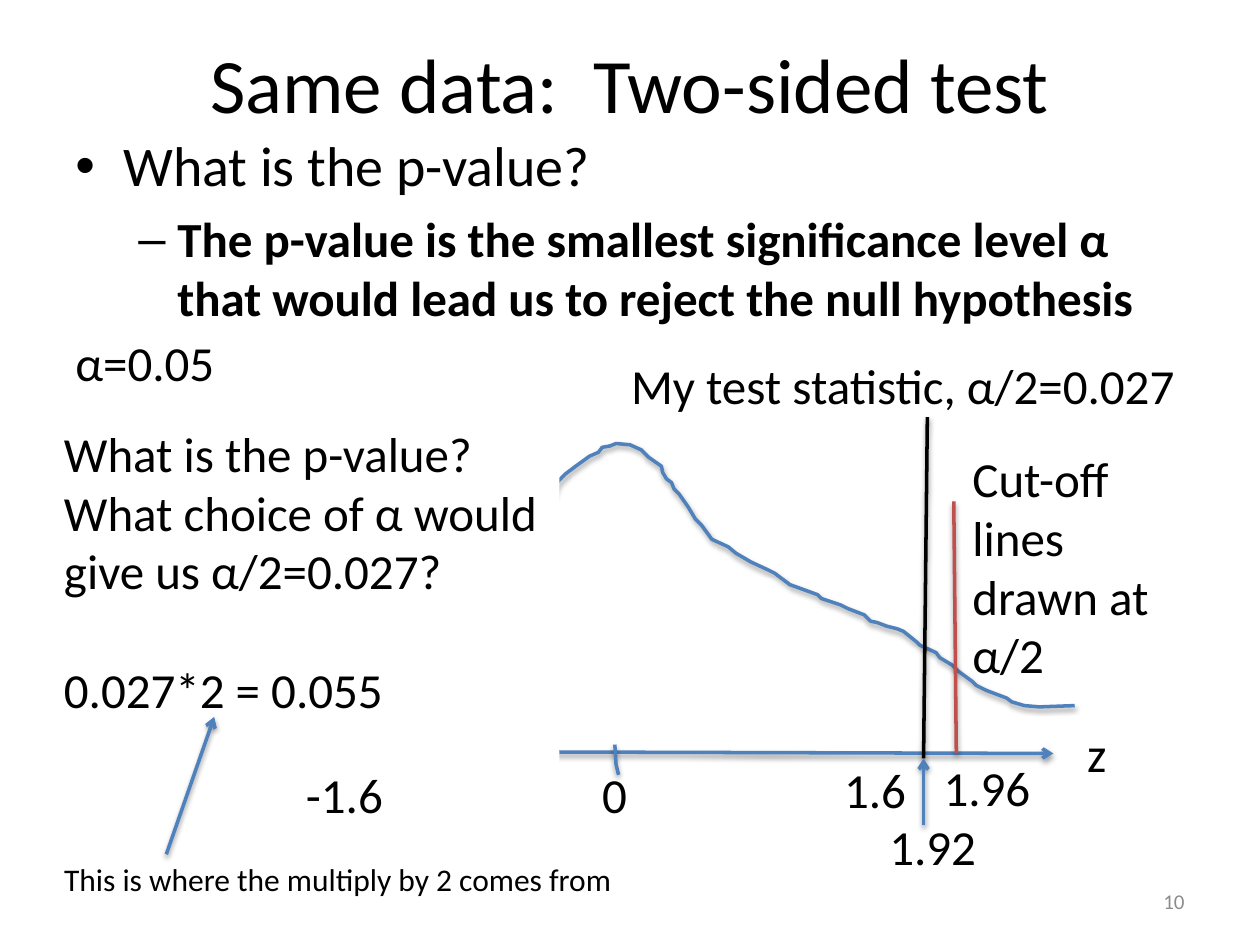
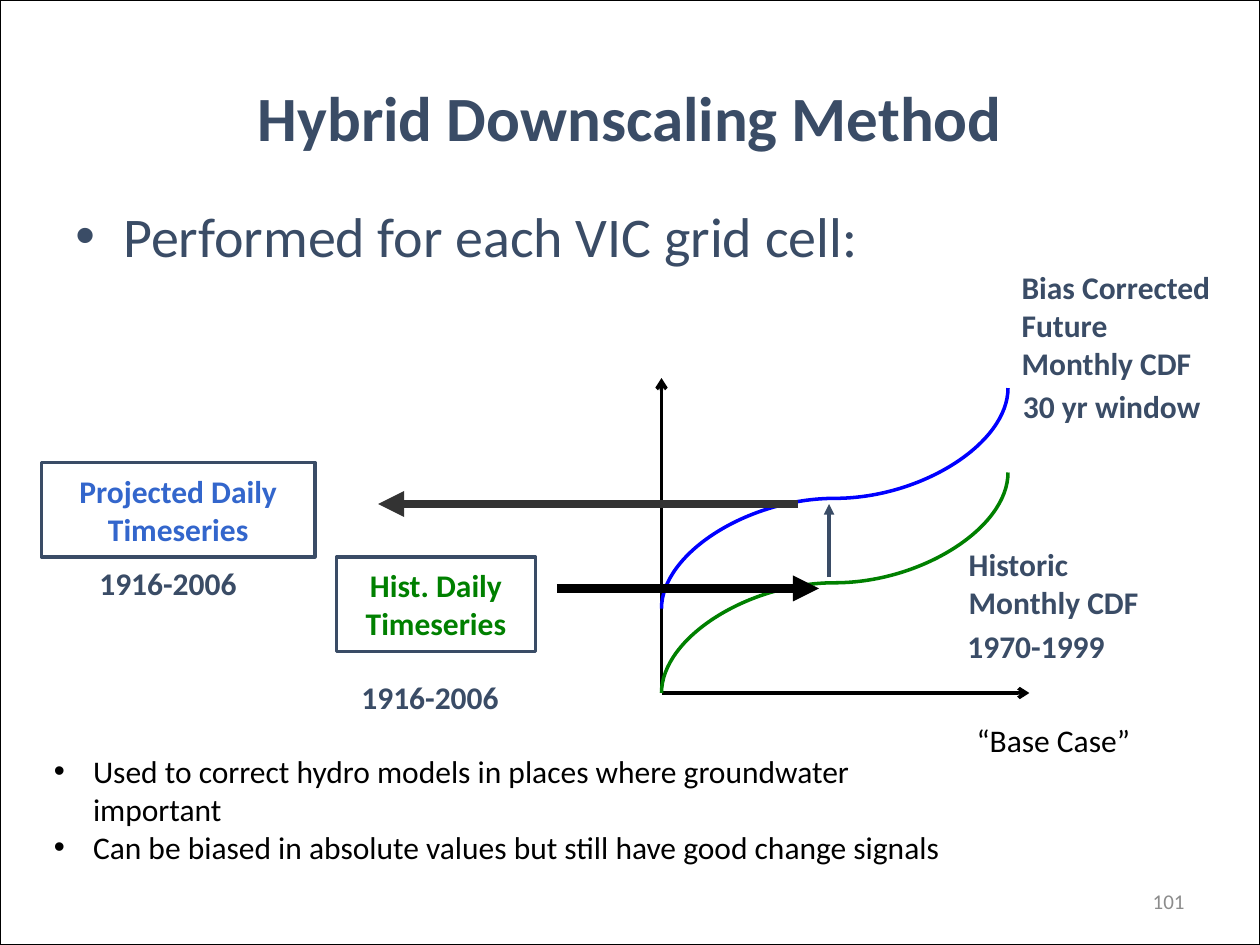
"""Build two statistics slides: a two-sided test and a hybrid downscaling method."""
from dataclasses import dataclass
from typing import Optional, Sequence

from lxml.etree import SubElement
from pptx import Presentation
from pptx.dml.color import RGBColor
from pptx.enum.shapes import MSO_CONNECTOR as Connector, MSO_SHAPE as Preset
from pptx.enum.text import MSO_ANCHOR as Anchor, PP_ALIGN as Align
from pptx.oxml.ns import qn
from pptx.util import Emu, Inches, Pt

BLACK = RGBColor(0x00, 0x00, 0x00)
WHITE = RGBColor(0xFF, 0xFF, 0xFF)
GREY = RGBColor(0x8C, 0x8C, 0x8C)
CHARCOAL = RGBColor(0x33, 0x33, 0x33)
STEEL = RGBColor(0x4F, 0x81, 0xBD)
BRICK = RGBColor(0xC0, 0x50, 0x4D)
SLATE = RGBColor(0x3A, 0x4C, 0x66)
GREEN = RGBColor(0x00, 0x80, 0x00)
BLUE = RGBColor(0x00, 0x00, 0xFF)
ROYAL = RGBColor(0x33, 0x66, 0xCC)

FONT = "Calibri"
SLIDE_WIDTH, SLIDE_HEIGHT = Inches(10), Inches(7.5)
COLUMNS, ROWS = 100, 75

Point = tuple[float, float]
Box = tuple[float, float, float, float]


@dataclass(frozen=True)
class Line:
    """One paragraph, with optional bullet and overrides of its label's format."""
    text: str
    bullet: str = ""
    margin: float = 0
    hang: float = 0
    gap: float = 0
    size: Optional[float] = None
    bold: Optional[bool] = None


@dataclass(frozen=True)
class Label:
    """Text at (left, top, width, height) in grid cells, framed when filled or outlined."""
    box: Box
    lines: Sequence[Line | str]
    size: float = 28
    color: RGBColor = BLACK
    bold: bool = False
    align: Align = Align.LEFT
    anchor: Anchor = Anchor.TOP
    fill: Optional[RGBColor] = None
    outline: Optional[RGBColor] = None
    outline_width: float = 2


@dataclass(frozen=True)
class Stroke:
    """A connector between two grid points."""
    start: Point
    end: Point
    color: RGBColor
    width: float = 2
    head: str = ""
    tail: str = ""
    shadow: bool = False
    kind: Connector = Connector.STRAIGHT
    rotation: int = 0


def column(count: float) -> Emu:
    """Return the width of a number of grid columns."""
    return Emu(round(SLIDE_WIDTH * count / COLUMNS))


def row(count: float) -> Emu:
    """Return the height of a number of grid rows."""
    return Emu(round(SLIDE_HEIGHT * count / ROWS))


def set_effects(shape, shadow: bool) -> None:
    """Replace the theme shadow with a soft drop shadow or with none."""
    effects = SubElement(shape._element.spPr, qn("a:effectLst"))
    if shadow:
        outer = SubElement(effects, qn("a:outerShdw"), blurRad=str(Pt(3.1)),
                           dist=str(Pt(1.6)), dir="5400000", rotWithShape="0")
        tint = SubElement(outer, qn("a:srgbClr"), val=str(BLACK))
        SubElement(tint, qn("a:alpha"), val="38000")


def set_line(shape, color: RGBColor, width: float) -> None:
    """Set a solid line."""
    shape.line.color.rgb = color
    shape.line.width = Pt(width)


def draw_stroke(slide, stroke: Stroke) -> None:
    """Draw a connector with its arrowheads."""
    (left, top), (right, bottom) = stroke.start, stroke.end
    connector = slide.shapes.add_connector(
        stroke.kind, column(left), row(top), column(right), row(bottom))
    set_line(connector, stroke.color, stroke.width)
    line = connector.line._get_or_add_ln()
    for tag, arrow in (("a:headEnd", stroke.head), ("a:tailEnd", stroke.tail)):
        if arrow:
            SubElement(line, qn(tag), type=arrow)
    if stroke.rotation:
        transform = connector._element.spPr.find(qn("a:xfrm"))
        transform.set("rot", str(stroke.rotation * 60000))
    set_effects(connector, stroke.shadow)


def draw_sketch(slide, points: Sequence[Point], color: RGBColor) -> None:
    """Draw an open, shadowed outline through grid points."""
    (left, top), *rest = [(column(x), row(y)) for x, y in points]
    builder = slide.shapes.build_freeform(left, top)
    builder.add_line_segments(rest, close=False)
    sketch = builder.convert_to_shape()
    sketch.fill.background()
    set_line(sketch, color, 2)
    set_effects(sketch, True)


def write_line(paragraph, line: Line, label: Label) -> None:
    """Write one paragraph with its bullet, spacing and font."""
    paragraph.alignment = label.align
    if line.gap:
        paragraph.space_before = Pt(line.gap)
    if line.bullet:
        properties = paragraph._p.get_or_add_pPr()
        properties.set("marL", str(column(line.margin)))
        properties.set("indent", str(-column(line.hang)))
        SubElement(properties, qn("a:buFont"), typeface="Arial")
        SubElement(properties, qn("a:buChar"), char=line.bullet)
    run = paragraph.add_run()
    run.text = line.text
    run.font.color.rgb = label.color
    formats = {"name": FONT, "size": Pt(line.size or label.size),
               "bold": label.bold if line.bold is None else line.bold}
    for name, value in formats.items():
        setattr(run.font, name, value)


def draw_label(slide, label: Label) -> None:
    """Draw a text box, or a rectangle when the label has a fill or an outline."""
    left, top, width, height = label.box
    place = column(left), row(top), column(width), row(height)
    if label.fill is None and label.outline is None:
        shape = slide.shapes.add_textbox(*place)
    else:
        shape = slide.shapes.add_shape(Preset.RECTANGLE, *place)
        if label.fill is None:
            shape.fill.background()
        else:
            shape.fill.solid()
            shape.fill.fore_color.rgb = label.fill
        if label.outline is None:
            shape.line.fill.background()
        else:
            set_line(shape, label.outline, label.outline_width)
        shape.shadow.inherit = False
    frame = shape.text_frame
    for name, value in {"word_wrap": True, "vertical_anchor": label.anchor}.items():
        setattr(frame, name, value)
    for index, entry in enumerate(label.lines):
        paragraph = frame.add_paragraph() if index else frame.paragraphs[0]
        write_line(paragraph, Line(entry) if isinstance(entry, str) else entry, label)


def draw_all(slide, items: Sequence[Label | Stroke]) -> None:
    """Draw labels and strokes from back to front."""
    for item in items:
        (draw_label if isinstance(item, Label) else draw_stroke)(slide, item)


def title(text: str, top: float, size: float, color: RGBColor, bold: bool = False) -> Label:
    """Return a centred slide title."""
    return Label((5, top, 90, 12.5), [text], size, color, bold, Align.CENTER, Anchor.MIDDLE)


def slide_number(number: int) -> Label:
    """Return the number in the lower right corner."""
    return Label((71.7, 69.5, 23.3, 4), [str(number)], 12, GREY,
                 align=Align.RIGHT, anchor=Anchor.MIDDLE)


def topic(text: str) -> Line:
    """Return a first-level bullet."""
    return Line(text, "•", 3.8, 3.8, size=32)


BELL_CURVE = [
    (17, 56), (18.6, 55.9), (20.8, 55.4), (23.3, 54.6), (26.6, 53.6), (30.2, 52.5),
    (32.8, 51), (34.4, 49.4), (36.5, 48), (38.8, 45.9), (40.4, 43.6), (42.3, 41.2),
    (43.1, 40.1), (43.8, 39.4), (44.2, 38.3), (44.9, 37.6), (45.7, 37), (46.8, 36.2),
    (47.5, 35.9), (47.8, 35.5), (48.4, 35.4), (48.9, 35.2), (50, 35.3), (50.9, 35.7),
    (51.5, 36.3), (52.5, 37), (52.6, 37.5), (52.9, 38), (53.3, 38.3), (53.5, 38.8),
    (53.9, 39.2), (54.6, 40.2), (55.2, 41.2), (55.7, 41.7), (56.5, 42.8), (57.8, 43.4),
    (58.4, 43.9), (59.6, 44.6), (60.9, 45.2), (61.5, 45.5), (62.7, 46.4), (63.8, 46.8),
    (64.9, 47.2), (65.2, 47.5), (66.7, 48), (67.3, 48.3), (68.6, 48.8), (69.1, 49.3),
    (69.6, 49.4), (70.4, 49.7), (71.2, 49.9), (71.7, 50.1), (72.7, 50.9), (73, 51.2),
    (74.3, 51.8), (74.6, 52.2), (75.6, 52.8), (76.1, 53.3), (77.2, 54.1), (77.5, 54.4),
    (78.3, 54.8), (79.9, 55.4), (80.3, 55.7), (81.3, 56), (82.5, 56.1), (85.3, 56),
]
ZERO_TICK = [(48.8, 59.1), (48.9, 60.7), (49.1, 61.5)]


def build_two_sided_test(slide) -> None:
    """Draw the bell curve, its cut-offs and the p-value argument."""
    draw_all(slide, [
        title("Same data:  Two-sided test", 0.3, 44, BLACK),
        Label((5, 9.9, 90, 18.8), [
            topic("What is the p-value?"),
            Line("The p-value is the smallest significance level α that would lead us "
                 "to reject the null hypothesis", "–", 8.1, 3.1, gap=6, bold=True)]),
        slide_number(10),
        Stroke((15.8, 59.6), (83.6, 59.8), STEEL, head="arrow", tail="arrow", shadow=True),
    ])
    for points in (ZERO_TICK, BELL_CURVE):
        draw_sketch(slide, points, STEEL)
    draw_all(slide, [
        Stroke((75.7, 39.8), (75.9, 59.8), BRICK, shadow=True),
        Stroke((73.6, 33.1), (73.3, 60.2), BLACK, shadow=True),
        Stroke((73.3, 65.5), (73.3, 60.2), STEEL, tail="arrow", shadow=True),
        Label((4.1, 33.1, 40.3, 29.3), [
            "What is the p-value?", "What choice of α would give us α/2=0.027?",
            Line("0.027*2 = 0.055", gap=34)], fill=WHITE),
        Stroke((13.2, 67.8), (17, 56.9), STEEL, tail="arrow", shadow=True),
        Label((5, 25.9, 14.1, 5.7), ["α=0.05"]),
        Label((49.1, 27.7, 50.9, 5.7), ["My test statistic, α/2=0.027"]),
        Label((76.2, 35.1, 16.4, 19.9), ["Cut-off lines drawn at α/2"]),
        Label((4.1, 67.8, 49.2, 4), ["This is where the multiply by 2 comes from"], 18),
    ])
    axis_labels = {"z": (85.3, 56.9), "0": (46.8, 60.2), "1.6": (66, 59.8),
                   "-1.6": (23.3, 60.2), "1.96": (73.9, 59.6), "1.92": (69.6, 64.3)}
    for text, (left, top) in axis_labels.items():
        draw_label(slide, Label((left, top, 11.8, 5.7), [text]))


def note(left: float, top: float, width: float, *lines: str) -> Label:
    """Return a bold slate caption as tall as its lines."""
    return Label((left, top, width, 1 + 3 * len(lines)), lines, 18, SLATE, True)


def series_box(left: float, top: float, width: float, name: str, color: RGBColor) -> Label:
    """Return an outlined time series box."""
    return Label((left, top, width, 7.5), [name, "Timeseries"], 18, color, True,
                 Align.CENTER, Anchor.MIDDLE, outline=SLATE)


def cdf_curve(top: float, color: RGBColor) -> Stroke:
    """Return an S-shaped curve, turned upright, over the chart's width."""
    return Stroke((57.5, top), (75, top + 27.5), color, kind=Connector.CURVE, rotation=270)


def build_downscaling(slide) -> None:
    """Draw the two monthly curves and the series mapped through them."""
    origin = (52.5, 55)
    draw_all(slide, [
        Label((0, 0, COLUMNS, ROWS), [], fill=WHITE, outline=BLACK, outline_width=0.75),
        title("Hybrid Downscaling Method", 3, 36, SLATE, True),
        Label((5, 15.5, 90, 47), [topic("Performed for each VIC grid cell:")], color=SLATE),
        series_box(26.7, 44.2, 15.8, "Hist. Daily", GREEN),
        Stroke((52.5, 30), origin, BLACK, head="arrow"),
        Stroke(origin, (81.7, 55), BLACK, tail="arrow"),
        Stroke((65.8, 45.8), (65.8, 40), SLATE, tail="triangle"),
        note(75.9, 42.8, 17.4, "Historic", "Monthly CDF"),
        note(80.1, 20.8, 19.8, "Bias Corrected", "Future", "Monthly CDF"),
        cdf_curve(32.5, GREEN),
        cdf_curve(25.8, BLUE),
        series_box(3.3, 36.7, 21.7, "Projected Daily", ROYAL),
        note(75.8, 49.3, 14, "1970-1999"),
        note(80.2, 30.2, 17.7, "30 yr window"),
        note(6.9, 44.3, 14, "1916-2006"),
        note(27.7, 53.3, 14, "1916-2006"),
        Stroke((63.3, 40), (30, 40), CHARCOAL, 5, tail="triangle"),
        Stroke((44.2, 46.7), (65, 46.7), BLACK, 5, tail="triangle"),
        Label((73.3, 56.7, 20.6, 5), ["“Base Case”"], 18, align=Align.CENTER),
        Label((3.3, 59.2, 72.5, 13.1), [Line(text, "•", 3.1, 3.1) for text in (
            "Used to correct hydro models in places where groundwater important",
            "Can be biased in absolute values but still have good change signals")], 18),
        slide_number(101),
    ])


def main() -> None:
    """Build and save the presentation."""
    presentation = Presentation()
    for name, value in {"slide_width": SLIDE_WIDTH, "slide_height": SLIDE_HEIGHT}.items():
        setattr(presentation, name, value)
    for build in (build_two_sided_test, build_downscaling):
        build(presentation.slides.add_slide(presentation.slide_layouts[6]))
    presentation.save("out.pptx")


if __name__ == "__main__":
    main()
